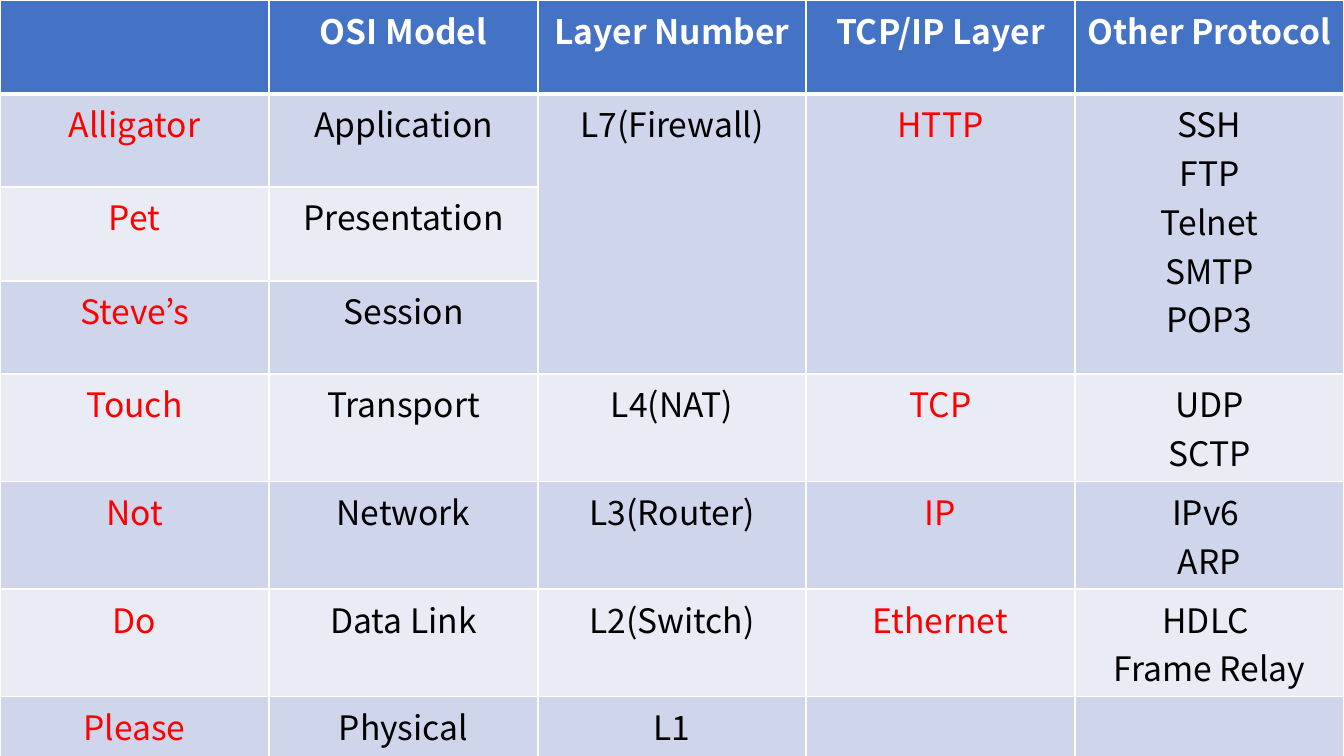
from lxml.etree import SubElement
from pptx import Presentation
from pptx.dml.color import RGBColor
from pptx.enum.text import PP_ALIGN
from pptx.oxml.ns import qn
from pptx.util import Pt

EMU_PER_PIXEL = 914400 / 100.8
SLIDE_WIDTH, SLIDE_HEIGHT = 1344, 756
LAYERS_HEIGHT = 749
WHITE, BLACK, RED = "FFFFFF", "000000", "FF0000"
HEADER_FILL, BAND_FILLS = "4472C4", ("E9EBF5", "CFD5EA")
MNEMONIC_COLUMN, TCP_IP_COLUMN = 0, 3
HEADER_FONT = {"name": "Noto Sans CJK KR", "size": Pt(24), "bold": True}
BODY_FONT = {**HEADER_FONT, "bold": False}

LAYERS = [
    ["", "OSI Model", "Layer Number", "TCP/IP Layer", "Other Protocol"],
    ["Alligator", "Application", "L7(Firewall)", "HTTP", "SSH\nFTP\nTelnet\nSMTP\nPOP3"],
    ["Pet", "Presentation", "", "", ""],
    ["Steve’s", "Session", "", "", ""],
    ["Touch", "Transport", "L4(NAT)", "TCP", "UDP\nSCTP"],
    ["Not", "Network", "L3(Router)", "IP", "IPv6 \nARP"],
    ["Do", "Data Link", "L2(Switch)", "Ethernet", "HDLC \nFrame Relay"],
    ["Please", "Physical", "L1", "", ""],
]


def px(pixels):
    """Turn pixels into EMU."""
    return round(pixels * EMU_PER_PIXEL)


def rgb(color):
    """Turn a hex string into a colour."""
    return RGBColor.from_string(color)


def share_evenly(tracks, length):
    """Split a length into whole pixels over columns or rows, under the attribute they use."""
    edges = [round(length * index / len(tracks)) for index in range(len(tracks) + 1)]
    return [px(end - start) for start, end in zip(edges, edges[1:])]


def add_borders(cell, widths):
    """Draw white borders of the given point widths by side."""
    properties = cell._tc.get_or_add_tcPr()
    for side, width in widths.items():
        border = SubElement(properties, qn(f"a:ln{side}"), w=str(Pt(width)))
        fill = SubElement(border, qn("a:solidFill"))
        SubElement(fill, qn("a:srgbClr"), val=WHITE)


def write_cell(cell, wording, font_format, color):
    """Write centred lines into a cell."""
    cell.text = wording
    for line in cell.text_frame.paragraphs:
        line.alignment = PP_ALIGN.CENTER
        for attribute, value in font_format.items():
            setattr(line.font, attribute, value)
            for run in line.runs:
                setattr(run.font, attribute, value)
        for run in line.runs:
            run.font.color.rgb = rgb(color)


def style_cell(cell, row, column):
    """Give a cell its borders, fill and wording by its place."""
    is_header = row == 0
    add_borders(cell, {"L": 1, "R": 1, "T": 3 if row == 1 else 1, "B": 3 if is_header else 1})
    cell.fill.solid()
    cell.fill.fore_color.rgb = rgb(HEADER_FILL if is_header else BAND_FILLS[row % 2])
    body_color = RED if column in (MNEMONIC_COLUMN, TCP_IP_COLUMN) else BLACK
    write_cell(cell, LAYERS[row][column], HEADER_FONT if is_header else BODY_FONT,
               WHITE if is_header else body_color)


def add_layers(slide):
    """Add the table of network layers."""
    layers = slide.shapes.add_table(len(LAYERS), len(LAYERS[0]), 0, 0,
                                    px(SLIDE_WIDTH), px(LAYERS_HEIGHT)).table
    for column, width in zip(layers.columns, share_evenly(layers.columns, SLIDE_WIDTH)):
        column.width = width
    for row, height in zip(layers.rows, share_evenly(layers.rows, LAYERS_HEIGHT)):
        row.height = height
    for row, wordings in enumerate(LAYERS):
        for column in range(len(wordings)):
            style_cell(layers.cell(row, column), row, column)
    for column in range(2, len(LAYERS[0])):
        layers.cell(1, column).merge(layers.cell(3, column))


def main():
    """Build and save the slide."""
    presentation = Presentation()
    presentation.slide_width = px(SLIDE_WIDTH)
    presentation.slide_height = px(SLIDE_HEIGHT)
    add_layers(presentation.slides.add_slide(presentation.slide_layouts[6]))
    presentation.save("out.pptx")


if __name__ == "__main__":
    main()
